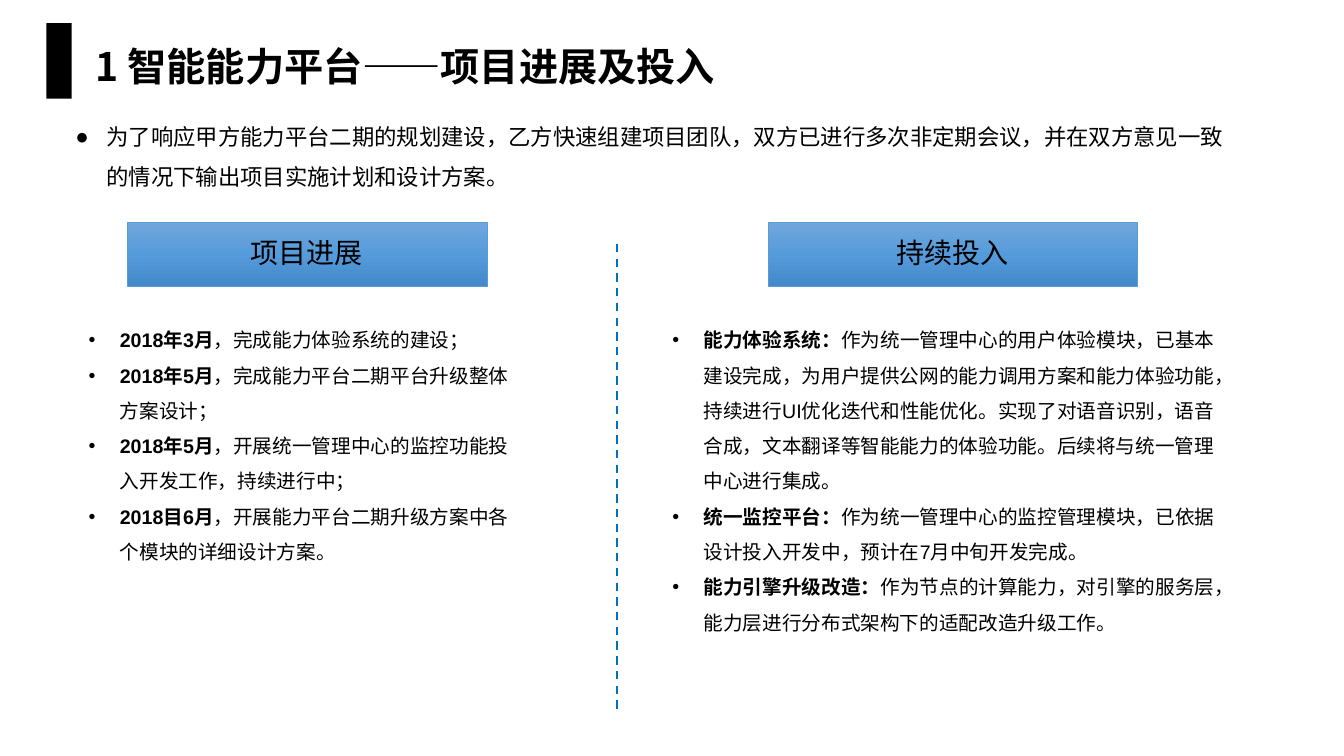
"""Build the project progress and investment slide."""
from copy import deepcopy

from lxml.etree import SubElement
from pptx import Presentation
from pptx.dml.color import RGBColor
from pptx.enum.dml import MSO_LINE
from pptx.enum.shapes import MSO_CONNECTOR, MSO_SHAPE
from pptx.enum.text import MSO_ANCHOR, PP_ALIGN
from pptx.oxml.ns import qn
from pptx.util import Inches, Pt

CJK_FONT = "Noto Sans CJK SC"
GRADIENT = [(0, "71A6DB"), (0.5, "559BDB"), (1, "448ACA")]


def color(value):
    return RGBColor.from_string(value)


def write(paragraph, runs, size, spacing, font=CJK_FONT, bullet=None):
    paragraph.line_spacing = spacing
    paragraph.font.size = Pt(size)
    paragraph.font.name = font
    paragraph.font.color.rgb = color("000000")
    properties = paragraph._p.pPr
    defaults = properties.find(qn("a:defRPr"))
    SubElement(defaults, qn("a:ea")).set("typeface", CJK_FONT)
    if bullet:
        properties.set("marL", str(Inches(0.31)))
        properties.set("indent", str(Inches(-0.31)))
        for tag, key, value in [("a:buFont", "typeface", "Arial"), ("a:buChar", "char", bullet)]:
            mark = SubElement(properties, qn(tag))
            mark.set(key, value)
            defaults.addprevious(mark)
    for text, bold in runs:
        run = paragraph.add_run()
        run.text = text
        run.font.bold = bold


presentation = Presentation()
presentation.slide_width = Inches(13.33)
presentation.slide_height = Inches(7.5)
slide = presentation.slides.add_slide(presentation.slide_layouts[6])

marker = slide.shapes.add_shape(
    MSO_SHAPE.RECTANGLE, Inches(0.46), Inches(0.23), Inches(0.25), Inches(0.75))
marker.shadow.inherit = False
marker.fill.solid()
marker.fill.fore_color.rgb = color("000000")
marker.line.fill.background()

title = slide.shapes.add_textbox(Inches(0.85), Inches(0.26), Inches(11.32), Inches(0.85))
title.text_frame.word_wrap = True
title.text_frame.vertical_anchor = MSO_ANCHOR.MIDDLE
write(title.text_frame.paragraphs[0], [("1 智能能力平台——项目进展及投入", True)], 28, 0.9)

summary = slide.shapes.add_textbox(Inches(0.65), Inches(1.04), Inches(11.67), Inches(0.91))
summary.text_frame.word_wrap = True
summary_text = ("为了响应甲方能力平台二期的规划建设，乙方快速组建项目团队，双方已进行多次非定期会议，"
                "并在双方意见一致的情况下输出项目实施计划和设计方案。")
write(summary.text_frame.paragraphs[0], [(summary_text, False)], 16, 1.5, "Arial", "●")

divider = slide.shapes.add_connector(
    MSO_CONNECTOR.STRAIGHT, Inches(6.12), Inches(2.42), Inches(6.12), Inches(7.03))
divider.line.color.rgb = color("0070C0")
divider.line.width = Pt(1.5)
divider.line.dash_style = MSO_LINE.DASH
SubElement(divider._element.spPr, qn("a:effectLst"))

progress = [
    ("2018年3月", "，完成能力体验系统的建设；"),
    ("2018年5月", "，完成能力平台二期平台升级整体方案设计；"),
    ("2018年5月", "，开展统一管理中心的监控功能投入开发工作，持续进行中；"),
    ("2018目6月", "，开展能力平台二期升级方案中各个模块的详细设计方案。"),
]
investment = [
    ("能力体验系统：",
     "作为统一管理中心的用户体验模块，已基本建设完成，为用户提供公网的能力调用方案和能力体验功能，"
     "持续进行UI优化迭代和性能优化。实现了对语音识别，语音合成，文本翻译等智能能力的体验功能。"
     "后续将与统一管理中心进行集成。"),
    ("统一监控平台：", "作为统一管理中心的监控管理模块，已依据设计投入开发中，预计在7月中旬开发完成。"),
    ("能力引擎升级改造：", "作为节点的计算能力，对引擎的服务层，能力层进行分布式架构下的适配改造升级工作。"),
]
columns = [
    ("项目进展", 1.26, 3.57, progress, 0.78, 4.53, 2.57),
    ("持续投入", 7.62, 3.66, investment, 6.57, 5.76, 3.28),
]
for heading, left, width, items, list_left, list_width, list_height in columns:
    header = slide.shapes.add_shape(
        MSO_SHAPE.RECTANGLE, Inches(left), Inches(2.21), Inches(width), Inches(0.63))
    header.shadow.inherit = False
    header.fill.gradient()
    header.fill.gradient_angle = 270
    stop_list = header._element.spPr.find(qn("a:gradFill")).find(qn("a:gsLst"))
    stop_list.append(deepcopy(stop_list[-1]))
    for stop, (position, shade) in zip(header.fill.gradient_stops, GRADIENT):
        stop.position = position
        stop.color.rgb = color(shade)
    header.line.color.rgb = color("5B9BD5")
    header.line.width = Pt(0.5)
    frame = header.text_frame
    frame.word_wrap = True
    frame.vertical_anchor = MSO_ANCHOR.TOP
    frame.margin_left = frame.margin_right = Inches(0.2)
    frame.margin_top = frame.margin_bottom = Inches(0.16)
    frame.paragraphs[0].alignment = PP_ALIGN.CENTER
    frame.paragraphs[0].space_after = Pt(6)
    write(frame.paragraphs[0], [(heading, False)], 20, 0.9)

    details = slide.shapes.add_textbox(
        Inches(list_left), Inches(3.09), Inches(list_width), Inches(list_height))
    details.text_frame.word_wrap = True
    for index, (label, text) in enumerate(items):
        paragraph = details.text_frame.add_paragraph() if index else details.text_frame.paragraphs[0]
        write(paragraph, [(label, True), (text, False)], 14, 1.5, "Arial", "•")

presentation.save("out.pptx")
